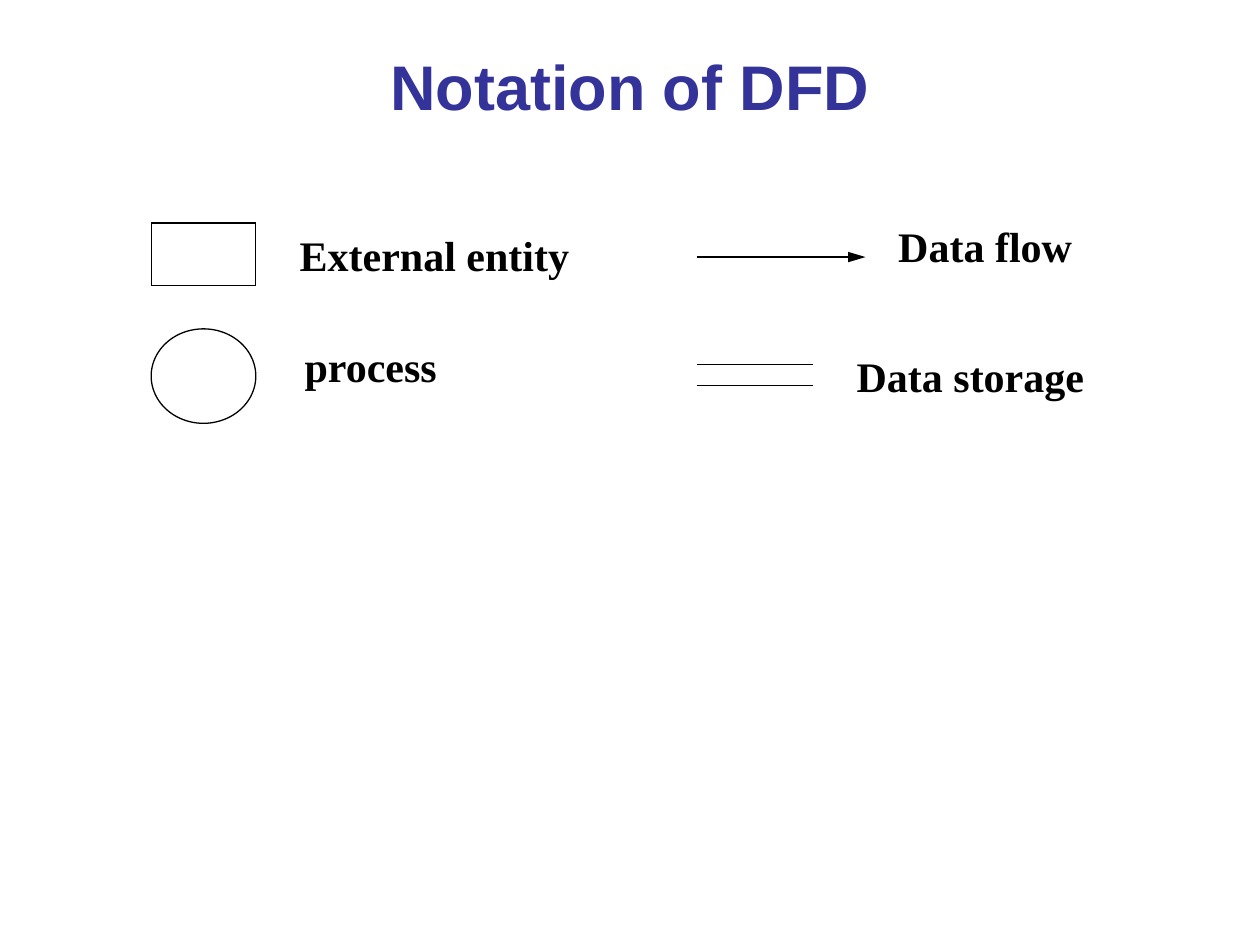
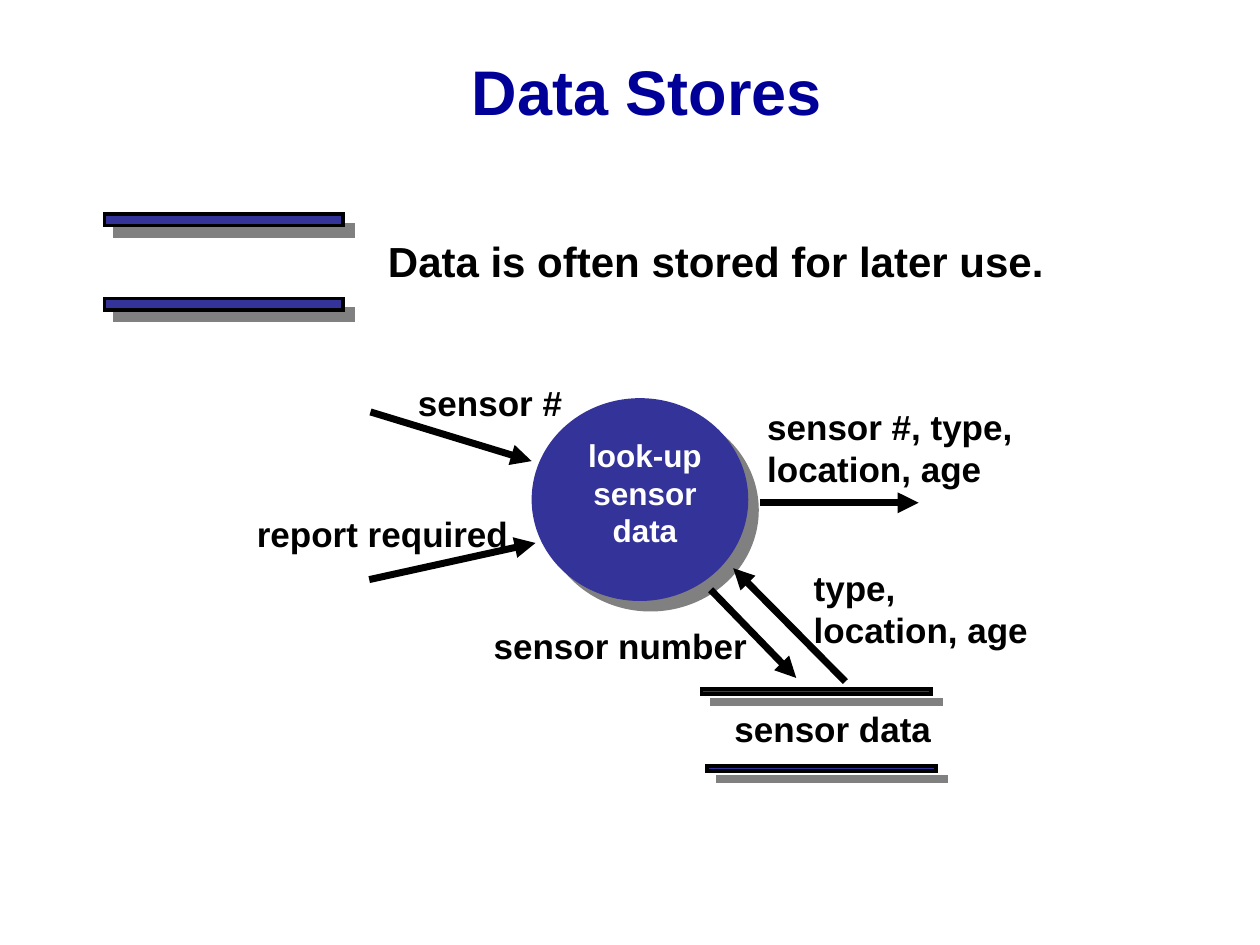
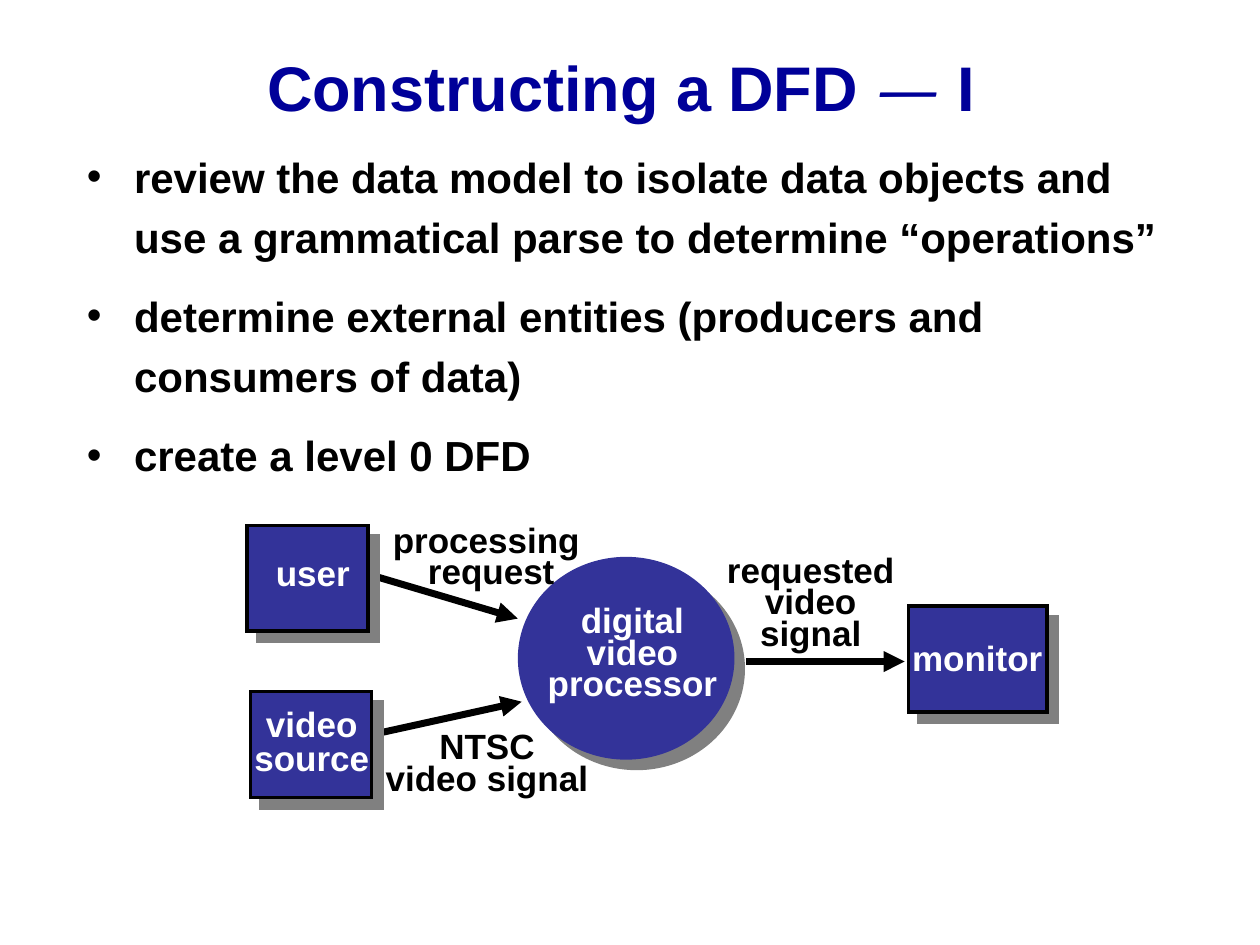
from lxml.etree import SubElement
from pptx import Presentation
from pptx.dml.color import RGBColor
from pptx.enum.shapes import MSO_CONNECTOR, MSO_SHAPE
from pptx.enum.text import MSO_ANCHOR, MSO_AUTO_SIZE, PP_ALIGN
from pptx.oxml.ns import qn
from pptx.util import Pt

rgb = RGBColor.from_string
BLUE, NAVY, BLACK, WHITE, GRAY = "333399", "000099", "000000", "FFFFFF", "808080"
RECT, OVAL, NODE = MSO_SHAPE.RECTANGLE, MSO_SHAPE.OVAL, MSO_SHAPE.FLOWCHART_CONNECTOR
LINE, ARROW = "line", "arrow"

# Text styles: font values, then paragraph values
TITLE = (dict(name="Arial", size=Pt(36), bold=True), dict(alignment=PP_ALIGN.CENTER))
LEGEND = (dict(name="Times New Roman", size=Pt(24), bold=True), {})
BODY = (dict(name="Arial", size=Pt(24), bold=True), {})
LABEL = (dict(name="Arial", size=Pt(20), bold=True), {})
TIGHT = (LABEL[0], dict(alignment=PP_ALIGN.CENTER, line_spacing=0.75))
LOOSE = (LABEL[0], dict(alignment=PP_ALIGN.CENTER, line_spacing=0.8))
PROCESS = (dict(name="Arial", size=Pt(18), bold=True), dict(alignment=PP_ALIGN.CENTER))

slides = [
    dict(
        title=[("Notation of DFD", "Arial")],
        title_box=(54, 20.2, 612, 57.6), title_color=BLUE,
        weight=0.75, head="lg", filled=False,
        # shapes: left, top, width, height; lines: from x, y to x, y
        items=[
            (RECT, 86.4, 127.4, 59.8, 36),
            (NODE, 86.4, 187.9, 59.8, 54),
            (LINE, 398.2, 208.1, 464.4, 208.1),
            (LINE, 398.2, 220.3, 464.4, 220.3),
            (ARROW, 398.2, 146.9, 494.6, 146.9),
        ],
        labels=[
            ((164.2, 127.4, 182.9, 36), "External entity", LEGEND, BLACK),
            ((167, 190.8, 108, 36), "process", LEGEND, BLACK),
            ((506.2, 122.4, 120.2, 36), "Data flow", LEGEND, BLACK),
            ((482.4, 196.6, 149.8, 36), "Data storage", LEGEND, BLACK),
        ],
    ),
    dict(
        title=[("Data Stores", "Arial")],
        title_box=(87.8, 20.2, 563.8, 62.6), title_color=NAVY,
        weight=4, head="med", filled=True,
        items=[
            (RECT, 59.8, 122.4, 136.1, 6.5),
            (RECT, 59.8, 170.6, 136.1, 6.5),
            (OVAL, 303.8, 227.5, 123.8, 115.9),
            (RECT, 401, 393.8, 131, 2.9),
            (RECT, 403.9, 437.8, 131, 2.9),
            (ARROW, 211.7, 235.4, 303.8, 263.5),
            (ARROW, 211, 331.2, 306, 310.3),
            (ARROW, 434.2, 287.3, 524.9, 287.3),
            (ARROW, 406.1, 337, 455, 387.4),
            (ARROW, 483.1, 389.5, 419, 324.7),
        ],
        labels=[
            ((214.6, 131, 388.8, 36), "Data is often stored for later use.", BODY, BLACK),
            ((329, 245.5, 79.2, 93.6), "look-up\nsensor\ndata", PROCESS, WHITE),
            ((231.8, 214.6, 96.5, 31), "sensor #", LABEL, BLACK),
            ((139.7, 289.4, 157.7, 31), "report required", LABEL, BLACK),
            ((431.3, 228.2, 159.8, 54.7), "sensor #, type,\nlocation, age", LABEL, BLACK),
            ((412.6, 401, 126.7, 31), "sensor data", LABEL, BLACK),
            ((275, 353.5, 159.1, 31), "sensor number", LABEL, BLACK),
            ((457.9, 320.4, 136.8, 54.7), "type,\nlocation, age", LABEL, BLACK),
        ],
    ),
    dict(
        title=[("Constructing a DFD ", "Arial"), ("—", "Vollkorn"), (" I", "Arial")],
        title_box=(100.1, 15.1, 509.8, 68.4), title_color=NAVY,
        weight=4, head="med", filled=True,
        items=[
            (OVAL, 295.9, 318.2, 123.8, 115.9),
            (ARROW, 203.8, 326.2, 295.9, 353.5),
            (ARROW, 203, 421.9, 298.1, 401),
            (ARROW, 426.2, 378, 517, 378),
            (RECT, 141.1, 300.2, 69.1, 60.5),
            (RECT, 143.3, 395.3, 69.1, 60.5),
            (RECT, 519.1, 346.3, 79.2, 60.5),
        ],
        labels=[
            ((150.5, 311.8, 56.9, 31), "user", LABEL, WHITE),
            ((217.4, 298.1, 126.7, 43.2), "processing \nrequest", TIGHT, BLACK),
            ((138.2, 402.5, 79.9, 45.4), "video\nsource", LOOSE, WHITE),
            ((213.1, 416.2, 130.3, 43.2), "NTSC\nvideo signal", TIGHT, BLACK),
            ((306, 344.2, 110.9, 61.2), "digital\nvideo\nprocessor", TIGHT, WHITE),
            ((408.2, 315.4, 110.2, 61.2), "requested\nvideo\nsignal", TIGHT, BLACK),
            ((514.1, 360, 88.6, 31), "monitor", LABEL, WHITE),
        ],
    ),
]
bullets = [
    "review the data model to isolate data objects and use a grammatical parse "
    "to determine “operations”",
    "determine external entities (producers and consumers of data)",
    "create a level 0 DFD",
]


def add_text(s, box, paragraphs, style, color):
    """Add a text box; each paragraph is a list of (text, font name) runs."""
    tf = s.shapes.add_textbox(*map(Pt, box)).text_frame
    tf.word_wrap = True
    font_values, paragraph_values = style
    for i, runs in enumerate(paragraphs):
        p = tf.add_paragraph() if i else tf.paragraphs[0]
        for key, value in paragraph_values.items():
            setattr(p, key, value)
        for text, name in runs:
            r = p.add_run()
            r.text = text
            for key, value in {**font_values, "name": name}.items():
                setattr(r.font, key, value)
            r.font.color.rgb = rgb(color)
    return tf


prs = Presentation()
prs.slide_width, prs.slide_height = Pt(720), Pt(540)

for page in slides:
    s = prs.slides.add_slide(prs.slide_layouts[6])
    tf = add_text(s, page["title_box"], [page["title"]], TITLE, page["title_color"])
    tf.vertical_anchor = MSO_ANCHOR.MIDDLE

    for kind, *box in page["items"]:
        box = map(Pt, box)
        if kind in (LINE, ARROW):
            sp = s.shapes.add_connector(MSO_CONNECTOR.STRAIGHT, *box)
            sp.line.color.rgb = rgb(BLACK)
            sp.line.width = Pt(page["weight"])
            if kind == ARROW:
                SubElement(sp.line._get_or_add_ln(), qn("a:tailEnd"),
                           type="triangle", len=page["head"])
            SubElement(sp._element.spPr, qn("a:effectLst"))
            continue
        sp = s.shapes.add_shape(kind, *box)
        sp.shadow.inherit = False
        if kind == OVAL:
            sp.line.fill.background()
        else:
            sp.line.color.rgb = rgb(BLACK)
            sp.line.width = Pt(2 if page["filled"] else page["weight"])
            SubElement(sp.line._get_or_add_ln(), qn("a:miter"), lim="800000")
        if page["filled"]:
            sp.fill.solid()
            sp.fill.fore_color.rgb = rgb(BLUE)
            effects = sp._element.spPr.find(qn("a:effectLst"))
            shadow = SubElement(effects, qn("a:outerShdw"), blurRad="0",
                                dist=str(Pt(8.5)), dir="2700000", algn="ctr",
                                rotWithShape="0")
            SubElement(shadow, qn("a:srgbClr"), val=GRAY)
        else:
            sp.fill.background()

    for box, text, style, color in page["labels"]:
        lines = [[(line, style[0]["name"])] for line in text.split("\n")]
        tf = add_text(s, box, lines, style, color)
        tf.auto_size = MSO_AUTO_SIZE.SHAPE_TO_FIT_TEXT
        # Narrow insets leave each line room to stay whole
        tf.margin_right = 0
        if "alignment" in style[1]:
            tf.margin_left = 0

# Bulleted steps on the last slide
tf = add_text(s, (42.5, 77, 635, 209.5), [[(b, "Arial")] for b in bullets], BODY, BLACK)
for i, p in enumerate(tf.paragraphs):
    p.line_spacing = 1.2
    p.space_before = Pt(10.5 if i else 0)
    pPr = p._p.get_or_add_pPr()
    pPr.set("marL", str(Pt(27)))
    pPr.set("indent", str(Pt(-27)))
    SubElement(SubElement(pPr, qn("a:buClr")), qn("a:srgbClr"), val=BLACK)
    SubElement(pPr, qn("a:buFont"), typeface="Arial")
    SubElement(pPr, qn("a:buChar"), char="•")

prs.save("out.pptx")
